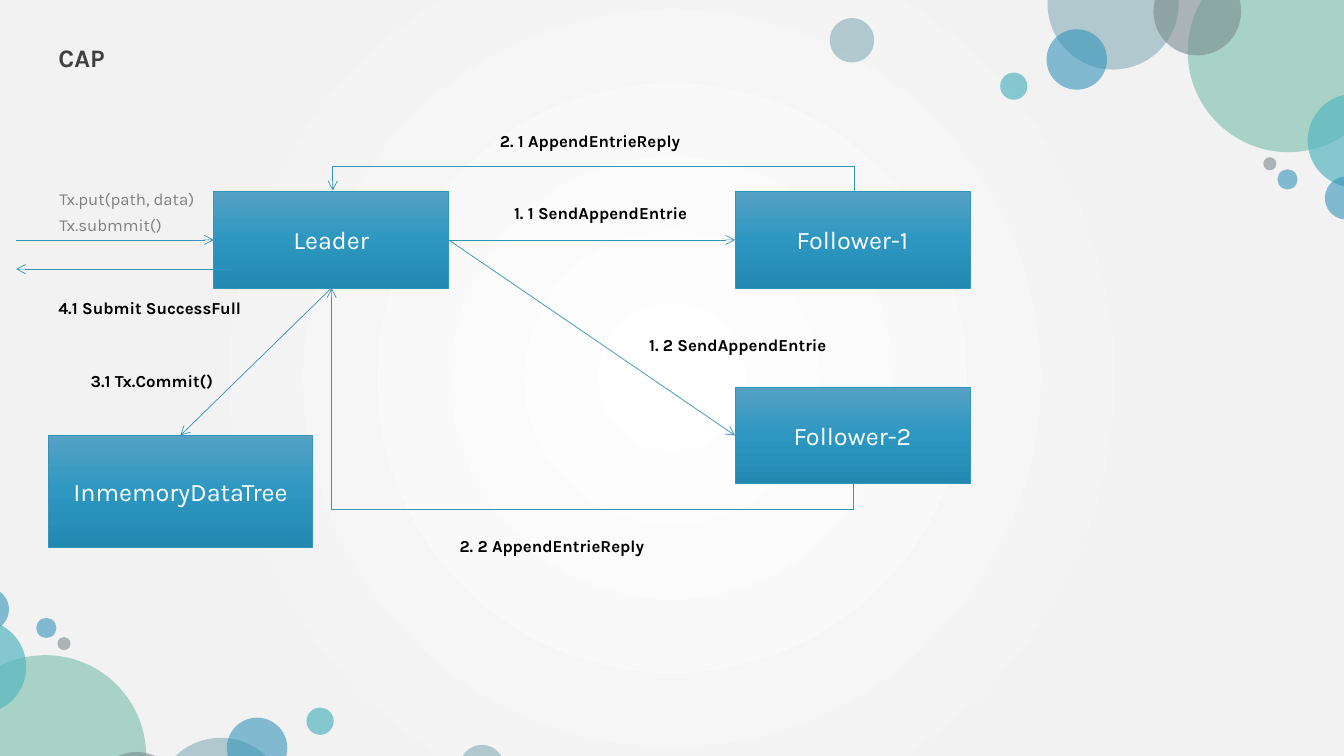
"""Builds a slide showing how a leader replicates a transaction to its followers."""
from dataclasses import dataclass
from typing import NamedTuple

from lxml import etree
from pptx import Presentation
from pptx import util as u
from pptx.dml.color import RGBColor
from pptx.enum import shapes, text
from pptx.oxml import ns

PX = 9144
TOP, LEFT, BOTTOM, RIGHT = range(4)


@dataclass(frozen=True)
class Theme:
    font: str = "Karla"
    title: str = "404040"
    label: str = "000000"
    call: str = "808080"
    white: str = "FFFFFF"
    blue: str = "3494BA"
    teal: str = "58B6C0"
    green: str = "75BDA7"
    mist: str = "84ACB6"
    grey: str = "7A8C8E"
    backdrop: tuple = ((0, "FFFFFF"), (67, "F2F2F2"), (100, "F2F2F2"))
    node: tuple = ((0, "56A1C4"), (50, "2D97C1"), (100, "2289B1"))
    large: int = 18
    small: int = 12
    hairline: float = 0.5
    spacing: float = 1.3


THEME = Theme()


class Bubble(NamedTuple):
    left: int
    top: int
    size: int
    colour: str
    opacity: int = 60


class Node(NamedTuple):
    name: str
    left: int
    top: int
    width: int = 233
    height: int = 96


class Label(NamedTuple):
    lines: tuple[str, ...]
    left: int
    top: int
    width: int
    height: int = 36
    colour: str = THEME.label
    bold: bool = True


class Link(NamedTuple):
    start: str
    start_side: int
    end: str
    end_side: int


BUBBLES = [
    Bubble(1039, -61, 130, THEME.mist),
    Bubble(1178, -49, 200, THEME.green),
    Bubble(1144, -32, 87, THEME.grey),
    Bubble(1038, 29, 60, THEME.blue),
    Bubble(1297, 93, 93, THEME.teal, 70),
    Bubble(992, 72, 27, THEME.teal, 70),
    Bubble(1314, 175, 43, THEME.blue),
    Bubble(1267, 168, 20, THEME.blue),
    Bubble(1253, 156, 13, THEME.grey),
    Bubble(823, 18, 44, THEME.mist),
]
NODES = [
    Node("Leader", 212, 190),
    Node("Follower-1", 729, 190),
    Node("Follower-2", 729, 384),
    Node("InmemoryDataTree", 48, 432, 262, 111),
]
LINKS = [
    Link("Leader", BOTTOM, "InmemoryDataTree", TOP),
    Link("Leader", RIGHT, "Follower-1", LEFT),
    Link("Leader", RIGHT, "Follower-2", LEFT),
]
LABELS = [
    Label(("Tx.put(path, data)", "Tx.submmit()"), 49, 176, 164, 63, THEME.call, False),
    Label(("1. 1 SendAppendEntrie",), 500, 190, 229),
    Label(("1. 2 SendAppendEntrie",), 634, 321, 238),
    Label(("2. 1 AppendEntrieReply",), 486, 119, 229),
    Label(("2. 2 AppendEntrieReply",), 446, 521, 229),
    Label(("3.1 Tx.Commit()",), 80, 357, 148),
    Label(("4.1 Submit SuccessFull",), 48, 284, 203),
]


def px(*lengths: float) -> list[int]:
    return [round(length * PX) for length in lengths]


def child(parent, tag: str, **attributes):
    return etree.SubElement(parent, ns.qn(tag), attributes)


def first(element, tag: str):
    return next(element.iter(ns.qn(tag)))


def set_stops(gradient, stops: tuple) -> None:
    gradient.clear()
    stop_list = child(gradient, "a:gsLst")
    for position, colour in stops:
        stop = child(stop_list, "a:gs", pos=str(position * 1000))
        child(stop, "a:srgbClr", val=colour)


def paint_backdrop(page) -> None:
    page.background.fill.gradient()
    gradient = first(page.element, "a:gradFill")
    set_stops(gradient, THEME.backdrop)
    circle = child(gradient, "a:path", path="circle")
    child(circle, "a:fillToRect", l="50000", t="50000", r="50000", b="50000")


def style_font(para, size: int, colour: str, bold: bool = False) -> None:
    para.font.name = THEME.font
    para.font.size = u.Pt(size)
    para.font.bold = bold
    para.font.color.rgb = RGBColor.from_string(colour)


def add_title(page, title: str) -> None:
    box = page.shapes.title
    box.left, box.top, box.width, box.height = px(48, 28, 372, 44)
    frame = box.text_frame
    frame.text = title
    frame.word_wrap = True
    frame.auto_size = text.MSO_AUTO_SIZE.NONE
    frame.vertical_anchor = text.MSO_ANCHOR.TOP
    para = frame.paragraphs[0]
    para.alignment = text.PP_ALIGN.LEFT
    para.line_spacing = THEME.spacing
    para.space_before = u.Pt(10)
    style_font(para, THEME.large, THEME.title, True)


def add_bubble(page, bubble: Bubble) -> None:
    disc = page.shapes.add_shape(
        shapes.MSO_SHAPE.OVAL, *px(bubble.left, bubble.top, bubble.size, bubble.size))
    disc.shadow.inherit = False
    disc.line.fill.background()
    disc.fill.solid()
    disc.fill.fore_color.rgb = RGBColor.from_string(bubble.colour)
    child(first(disc.element, "a:srgbClr"), "a:alpha", val=str(bubble.opacity * 1000))


def opposite(bubble: Bubble) -> Bubble:
    return bubble._replace(left=1323 - bubble.left - bubble.size,
                           top=801 - bubble.top - bubble.size)


def add_node(page, node: Node):
    box = page.shapes.add_shape(
        shapes.MSO_SHAPE.RECTANGLE, *px(node.left, node.top, node.width, node.height))
    box.shadow.inherit = False
    box.fill.gradient()
    gradient = first(box.element, "a:gradFill")
    set_stops(gradient, THEME.node)
    child(gradient, "a:lin", ang="5400000", scaled="0")
    box.line.color.rgb = RGBColor.from_string(THEME.blue)
    box.line.width = u.Pt(THEME.hairline)
    box.text_frame.text = node.name
    box.text_frame.vertical_anchor = text.MSO_ANCHOR.MIDDLE
    para = box.text_frame.paragraphs[0]
    para.alignment = text.PP_ALIGN.CENTER
    style_font(para, THEME.large, THEME.white)
    return box


def add_label(page, label: Label) -> None:
    box = page.shapes.add_textbox(*px(label.left, label.top, label.width, label.height))
    frame = box.text_frame
    frame.text = "\n".join(label.lines)
    frame.word_wrap = True
    frame.auto_size = text.MSO_AUTO_SIZE.SHAPE_TO_FIT_TEXT
    for para in frame.paragraphs:
        para.line_spacing = THEME.spacing
        style_font(para, THEME.small, label.colour, label.bold)


def add_arrow(page, x1: float, y1: float, x2: float, y2: float,
              kind=shapes.MSO_CONNECTOR.STRAIGHT):
    arrow = page.shapes.add_connector(kind, *px(x1, y1, x2, y2))
    arrow.line.color.rgb = RGBColor.from_string(THEME.blue)
    arrow.line.width = u.Pt(THEME.hairline)
    child(first(arrow.element, "a:ln"), "a:tailEnd", type="arrow")
    child(first(arrow.element, "p:spPr"), "a:effectLst")
    return arrow


def add_reply(page, x1: int, y1: int, x2: int, y2: int, upward: bool) -> None:
    bend, width, height = 25, abs(y2 - y1), abs(x2 - x1)
    left, top = (x1 + x2 - width) / 2, (y1 + y2 - height) / 2
    arrow = add_arrow(page, left, top, left + width, top + height,
                      shapes.MSO_CONNECTOR.ELBOW)
    frame = first(arrow.element, "a:xfrm")
    frame.set("rot", str((270 if upward else 90) * 60000))
    frame.set("flipV" if upward else "flipH", "1")
    shift = round(bend / width * 100000) * (1 if upward else -1)
    child(first(arrow.element, "a:avLst"), "a:gd", name="adj1", fmla=f"val {shift}")


def main() -> None:
    deck = Presentation()
    deck.slide_width, deck.slide_height = px(1333, 750)
    page = deck.slides.add_slide(deck.slide_layouts[5])
    paint_backdrop(page)
    for bubble in BUBBLES + [opposite(bubble) for bubble in BUBBLES]:
        add_bubble(page, bubble)
    add_title(page, "CAP")
    boxes = {node.name: add_node(page, node) for node in NODES}
    for link in LINKS:
        arrow = add_arrow(page, 0, 0, 0, 0)
        arrow.begin_connect(boxes[link.start], link.start_side)
        arrow.end_connect(boxes[link.end], link.end_side)
    add_arrow(page, 16, 238, 212, 238).end_connect(boxes["Leader"], LEFT)
    add_arrow(page, 228, 267, 16, 267)
    add_reply(page, 847, 190, 330, 189, upward=True)
    add_reply(page, 846, 480, 329, 286, upward=False)
    for label in LABELS:
        add_label(page, label)
    deck.save("out.pptx")


if __name__ == "__main__":
    main()
